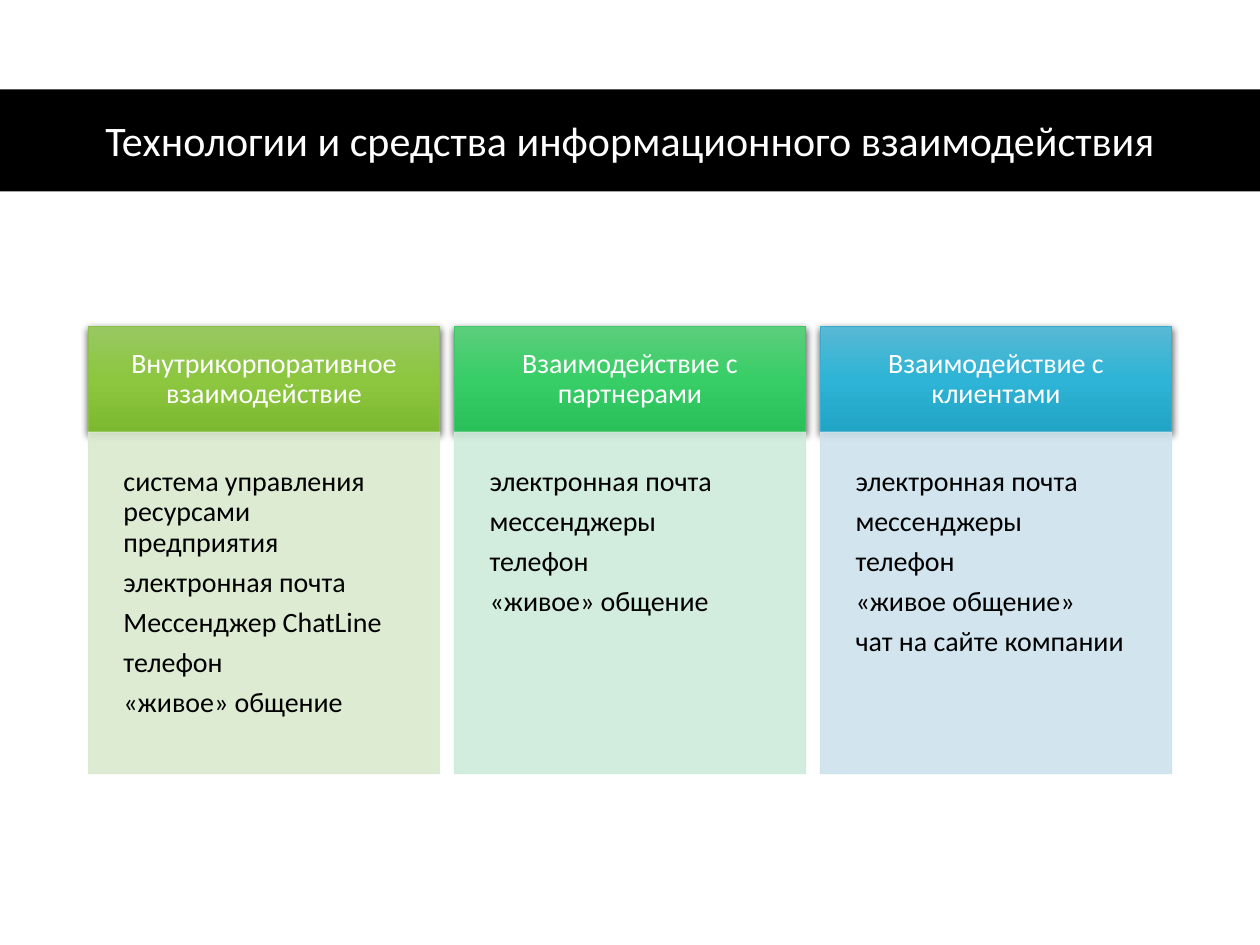
from lxml import etree
from pptx import Presentation
from pptx import util as u
from pptx.dml.color import RGBColor
from pptx.enum import shapes, text
from pptx.oxml.ns import qn

COLS, ROWS = 100, 75          # grid of the slide, one unit is 0.1 inch
LEFT, WIDTH, GAP = 7, 27.9, 1.15
HEAD_TOP, HEAD_H, BODY_H = 25.9, 8.4, 27.1

COLUMNS = [
    ("Внутрикорпоративное взаимодействие",
     ["система управления ресурсами предприятия", "электронная почта",
      "Мессенджер ChatLine", "телефон", "«живое» общение"],
     ("98C862", "8CC73F", "7DB831"), "8BC145", "DAE9CF"),
    ("Взаимодействие с партнерами",
     ["электронная почта", "мессенджеры", "телефон", "«живое» общение"],
     ("5DCE7C", "37CE67", "29BF59"), "3EC76A", "CEEBDB"),
    ("Взаимодействие с клиентами",
     ["электронная почта", "мессенджеры", "телефон", "«живое общение»",
      "чат на сайте компании"],
     ("59B8D4", "2EB4D6", "21A4C6"), "36AFCE", "CEE3ED"),
]


def rgb(value):
    return RGBColor.from_string(value)


def add_xml(parent, tag, **attrs):
    return etree.SubElement(parent, qn(tag), {k: str(v) for k, v in attrs.items()})


class Deck:
    font = "Calibri"

    def __init__(self):
        self.prs = Presentation()
        self.prs.slide_width, self.prs.slide_height = u.Inches(10), u.Inches(7.5)
        self.slide = self.prs.slides.add_slide(self.prs.slide_layouts[5])

    def box(self, col, row, cols, rows):
        w, h = self.prs.slide_width / COLS, self.prs.slide_height / ROWS
        return [round(v) for v in (col * w, row * h, cols * w, rows * h)]

    def set_text(self, sp, lines, size, color, align, anchor, inset, after=0):
        tf = sp.text_frame
        margins = dict.fromkeys(("margin_left", "margin_top", "margin_right",
                                 "margin_bottom"), u.Inches(inset))
        frame = {"word_wrap": True, "auto_size": text.MSO_AUTO_SIZE.NONE,
                 "vertical_anchor": anchor, **margins}
        for name, value in frame.items():
            setattr(tf, name, value)
        for i, line in enumerate(lines):
            p = tf.paragraphs[0] if i == 0 else tf.add_paragraph()
            style = {"alignment": align, "line_spacing": 0.9,
                     "space_before": u.Pt(0), "space_after": u.Pt(after)}
            for name, value in style.items():
                setattr(p, name, value)
            r = p.add_run()
            r.text = line
            for name, value in {"name": self.font, "size": u.Pt(size)}.items():
                setattr(r.font, name, value)
            r.font.color.rgb = rgb(color)

    def title(self, line, *cell):
        sp = self.slide.shapes.title
        sp.left, sp.top, sp.width, sp.height = self.box(*cell)
        self.set_text(sp, [line], 24, "FFFFFF", text.PP_ALIGN.CENTER,
                      text.MSO_ANCHOR.MIDDLE, 0.05)

    def rect(self, cell, fill, line=None):
        sp = self.slide.shapes.add_shape(shapes.MSO_SHAPE.RECTANGLE, *self.box(*cell))
        sp.shadow.inherit = False
        sp.fill.solid()
        sp.fill.fore_color.rgb = rgb(fill)
        if line:
            sp.line.color.rgb = rgb(line)
            sp.line.width = u.Pt(0.5)
        else:
            sp.line.fill.background()
        return sp

    def band(self, *cell):
        sp = self.rect(cell, "000000")
        self.slide.shapes.title._element.addprevious(sp._element)

    def header(self, cell, line, stops, border):
        sp = self.rect(cell, stops[0], border)
        sp.fill.gradient()
        sp.fill.gradient_angle = 270
        # Three evenly spaced gradient stops
        pr = sp._element.spPr
        stop_list = pr.find(".//" + qn("a:gsLst"))
        for old in list(stop_list):
            stop_list.remove(old)
        for i, color in enumerate(stops):
            add_xml(add_xml(stop_list, "a:gs", pos=i * 50000), "a:srgbClr", val=color)
        # Soft shadow below
        shadow = add_xml(pr.find(qn("a:effectLst")), "a:outerShdw",
                         blurRad=u.Pt(4.5), dist=u.Pt(1.5), dir=5400000, rotWithShape=0)
        add_xml(add_xml(shadow, "a:srgbClr", val="000000"), "a:alpha", val=63000)
        self.set_text(sp, [line], 16, "FFFFFF", text.PP_ALIGN.CENTER,
                      text.MSO_ANCHOR.MIDDLE, 0.22, 5.6)

    def body(self, cell, lines, fill):
        sp = self.rect(cell, fill, fill)
        for color in sp._element.spPr.iter(qn("a:srgbClr")):
            add_xml(color, "a:alpha", val=90000)
        self.set_text(sp, lines, 16, "000000", text.PP_ALIGN.LEFT,
                      text.MSO_ANCHOR.TOP, 0.28, 5.6)


def main():
    deck = Deck()
    # Title on a full-width band
    deck.band(0, 7.1, COLS, 8.1)
    deck.title("Технологии и средства информационного взаимодействия",
               6.9, 7.4, 86.2, 7.8)
    # Three columns: header above its list
    for i, (head, items, stops, border, tint) in enumerate(COLUMNS):
        x = LEFT + i * (WIDTH + GAP)
        deck.header((x, HEAD_TOP, WIDTH, HEAD_H), head, stops, border)
        deck.body((x, HEAD_TOP + HEAD_H, WIDTH, BODY_H), items, tint)
    deck.prs.save("out.pptx")


if __name__ == "__main__":
    main()
